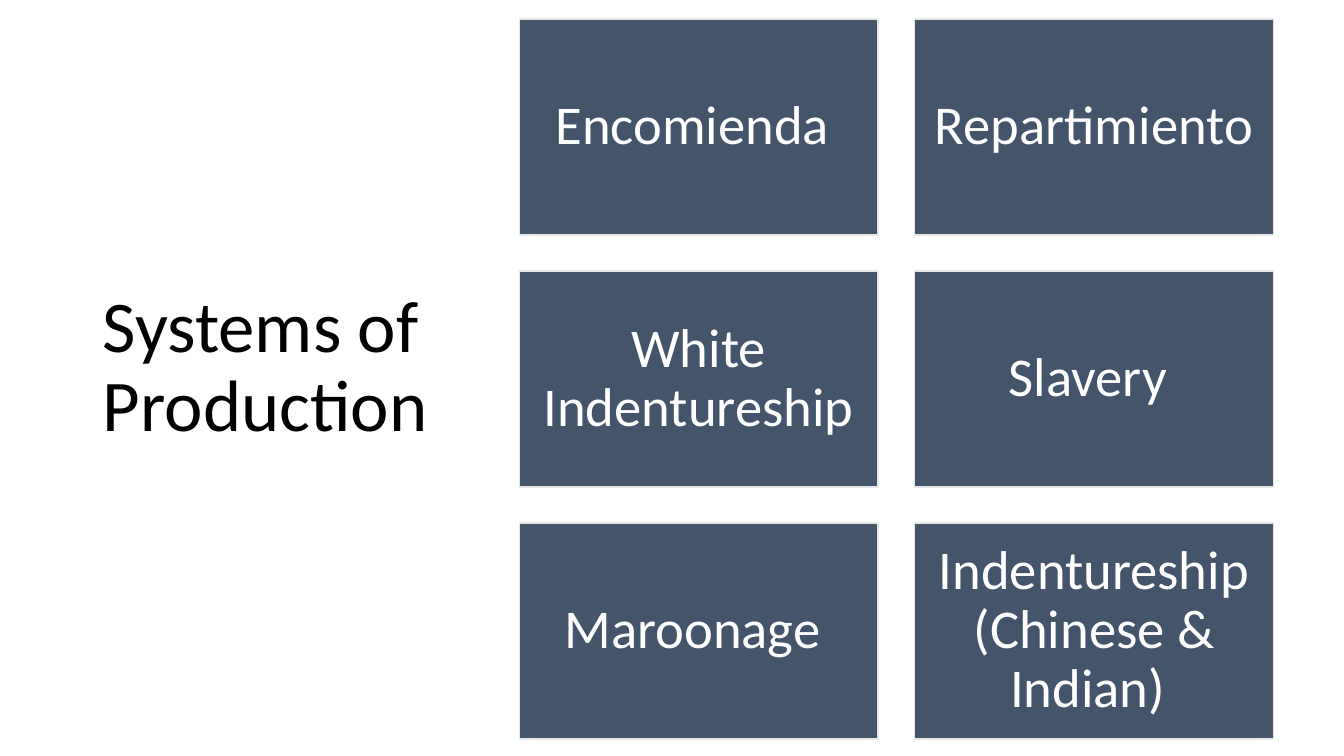
from dataclasses import dataclass

from pptx import Presentation
from pptx import util as u
from pptx.dml.color import RGBColor
from pptx.enum import shapes, text

PX = 9144  # EMU per px, 100 px to the inch


@dataclass(frozen=True)
class Theme:
    font: str = "Calibri"
    title_size: int = 52
    card_size: int = 39
    title_color: str = "000000"
    card_text: str = "FFFFFF"
    card_fill: str = "44546A"
    card_line: str = "E7E6E6"


THEME = Theme()
SYSTEMS = [
    "Encomienda ",
    "Repartimiento ",
    "White Indentureship",
    "Slavery ",
    "Maroonage ",
    "Indentureship (Chinese & Indian) ",
]


def px(length):
    return u.Emu(length * PX)


def write(frame, words, size, color, align):
    frame.text = words
    frame.word_wrap = True
    frame.auto_size = text.MSO_AUTO_SIZE.NONE
    frame.vertical_anchor = text.MSO_ANCHOR.MIDDLE
    para = frame.paragraphs[0]
    para.alignment = align
    para.line_spacing = 0.9
    for span in para.runs:
        span.font.name = THEME.font
        span.font.size = u.Pt(size)
        span.font.color.rgb = RGBColor.from_string(color)


def add_title(page, left, top, width, height):
    title = page.shapes.title
    title.left, title.top = px(left), px(top)
    title.width, title.height = px(width), px(height)
    write(title.text_frame, "Systems of Production", THEME.title_size,
          THEME.title_color, text.PP_ALIGN.LEFT)


def add_card(page, words, left, top, width, height):
    card = page.shapes.add_shape(shapes.MSO_SHAPE.RECTANGLE,
                                 px(left), px(top), px(width), px(height))
    card.shadow.inherit = False
    card.fill.solid()
    card.fill.fore_color.rgb = RGBColor.from_string(THEME.card_fill)
    card.line.color.rgb = RGBColor.from_string(THEME.card_line)
    card.line.width = u.Pt(1)
    frame = card.text_frame
    frame.margin_left = frame.margin_right = px(16)
    frame.margin_top = frame.margin_bottom = px(16)
    write(frame, words, THEME.card_size, THEME.card_text, text.PP_ALIGN.CENTER)


def add_card_grid(page, left, top, width, height, columns=2, gap=36):
    rows = len(SYSTEMS) // columns
    card_width = (width - gap * (columns - 1)) // columns
    card_height = (height - gap * (rows - 1)) // rows
    for index, words in enumerate(SYSTEMS):
        row, column = divmod(index, columns)
        add_card(page, words,
                 left + column * (card_width + gap),
                 top + row * (card_height + gap),
                 card_width, card_height)


def main():
    deck = Presentation()
    deck.slide_width, deck.slide_height = px(1333), px(750)
    page = deck.slides.add_slide(deck.slide_layouts.get_by_name("Title Only"))
    # Heading on the left
    add_title(page, 92, 61, 369, 609)
    # Cards on the right
    add_card_grid(page, 515, 19, 748, 714)
    deck.save("out.pptx")


if __name__ == "__main__":
    main()
